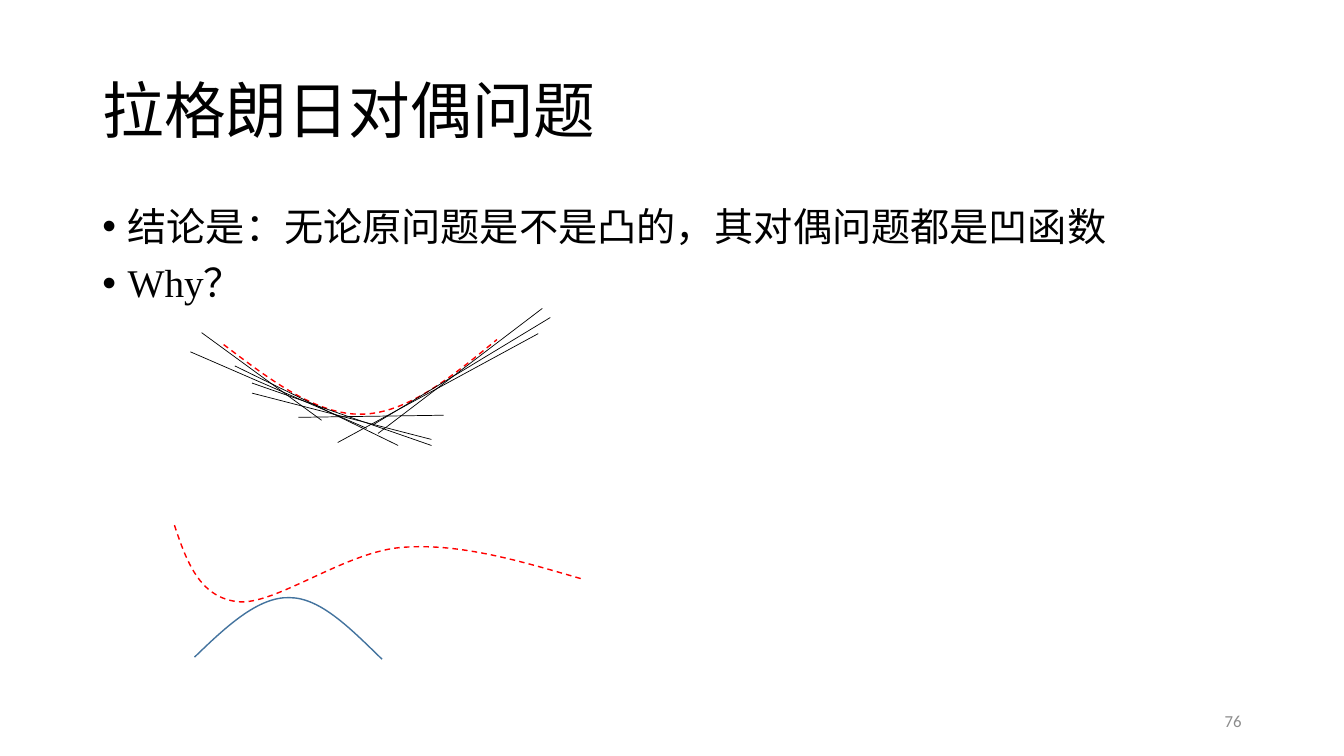
from lxml.etree import SubElement
from pptx import Presentation
from pptx.dml.color import RGBColor
from pptx.enum.dml import MSO_LINE
from pptx.enum.shapes import MSO_CONNECTOR
from pptx.enum.text import MSO_ANCHOR, MSO_AUTO_SIZE, PP_ALIGN
from pptx.oxml.ns import qn
from pptx.util import Pt

COLORS = {"text": "000000", "number": "8C8C8C", "curve": "FF0000", "lower": "43739E"}
SERIF = "Times New Roman"

# Points are relative to the top left corner of each figure.
# In a curve every third point lies on it; the two between are Bézier controls.
CONVEX_CURVE = [(23.8, 25.9), (57, 51.1), (90.1, 76.3), (122.5, 75.6),
                (155.6, 74.9), (187.3, 48.3), (219, 22.3)]
TANGENTS = [
    ((8, 17.3), (93.7, 79.9)),
    ((77.1, 77.8), (180.8, 76.3)),
    ((31.8, 41.1), (148.4, 97.9)),
    ((44, 53.3), (172.2, 97.9)),
    ((134, 89.3), (251.4, 0)),
    ((131.1, 82.8), (257.1, 6.5)),
    ((105.2, 95.8), (248.5, 18)),
    ((0, 31), (126.1, 85.7)),
    ((44, 60.5), (172.2, 93.6)),
]
PRIMAL_CURVE = [(0, 0), (8.6, 25.9), (18, 51.8), (45.4, 54.7), (72, 57.6),
                (123.1, 18), (164.2, 15.8), (205.2, 13), (247.7, 25.9), (290.2, 38.2)]
DUAL_CURVE = [(14.4, 94.3), (36.7, 72.7), (59.8, 51.1), (82.1, 51.8),
              (104.4, 51.8), (126, 74.2), (148.3, 95.8)]


def place(sp, box):
    sp.left, sp.top, sp.width, sp.height = (Pt(v) for v in box)


def add_run(p, text, size, color, font=SERIF):
    r = p.add_run()
    r.text = text
    r.font.size = Pt(size)
    r.font.name = font
    r.font.color.rgb = RGBColor.from_string(COLORS[color])


def add_title(s, box, text):
    sp = s.shapes.title
    place(sp, box)
    tf = sp.text_frame
    tf.auto_size = MSO_AUTO_SIZE.NONE
    tf.vertical_anchor = MSO_ANCHOR.MIDDLE
    p = tf.paragraphs[0]
    p.alignment = PP_ALIGN.LEFT
    p.line_spacing = 0.9
    add_run(p, text, 44, "text")


def add_bullets(s, box, items):
    sp = s.placeholders[1]
    place(sp, box)
    tf = sp.text_frame
    tf.auto_size = MSO_AUTO_SIZE.NONE
    for i, item in enumerate(items):
        p = tf.add_paragraph() if i else tf.paragraphs[0]
        pPr = p._p.get_or_add_pPr()
        pPr.set("marL", str(Pt(18)))
        pPr.set("indent", str(Pt(-18)))
        SubElement(pPr, qn("a:buFont")).set("typeface", "Arial")
        SubElement(pPr, qn("a:buChar")).set("char", "•")
        p.line_spacing = 0.9
        p.space_before = Pt(10 if i else 0)
        add_run(p, item, 28, "text")


def add_page_number(s, box, number):
    tf = s.shapes.add_textbox(*(Pt(v) for v in box)).text_frame
    tf.word_wrap = True
    tf.vertical_anchor = MSO_ANCHOR.MIDDLE
    p = tf.paragraphs[0]
    p.alignment = PP_ALIGN.RIGHT
    add_run(p, number, 12, "number", "Calibri")


def bend_segments(sp, points):
    """Turn the straight segments of a freeform into cubic Bézier spans."""
    segments = list(sp._element.iter(qn("a:lnTo")))
    for i, segment in enumerate(segments):
        span = segment.makeelement(qn("a:cubicBezTo"))
        for x, y in points[3 * i + 1:3 * i + 4]:
            pt = SubElement(span, qn("a:pt"))
            pt.set("x", str(x - sp.left))
            pt.set("y", str(y - sp.top))
        segment.getparent().replace(segment, span)


def add_curve(shapes, origin, curve, color, dashed=False):
    x, y = origin
    points = [(Pt(x + dx), Pt(y + dy)) for dx, dy in curve]
    builder = shapes.build_freeform(*points[0])
    builder.add_line_segments(points[3::3], close=False)
    sp = builder.convert_to_shape()
    bend_segments(sp, points)
    sp.shadow.inherit = False
    sp.fill.background()
    sp.line.color.rgb = RGBColor.from_string(COLORS[color])
    sp.line.width = Pt(1)
    if dashed:
        sp.line.dash_style = MSO_LINE.DASH


def add_tangent_figure(s, origin):
    x, y = origin
    add_curve(s.shapes, origin, CONVEX_CURVE, "curve", dashed=True)
    for (x1, y1), (x2, y2) in TANGENTS:
        line = s.shapes.add_connector(MSO_CONNECTOR.STRAIGHT, Pt(x + x1), Pt(y + y1),
                                      Pt(x + x2), Pt(y + y2))
        line.line.color.rgb = RGBColor.from_string(COLORS["text"])
        line.line.width = Pt(0.5)
        SubElement(line._element.spPr, qn("a:effectLst"))


def add_duality_figure(s, origin):
    group = s.shapes.add_group_shape()
    add_curve(group.shapes, origin, PRIMAL_CURVE, "curve", dashed=True)
    add_curve(group.shapes, origin, DUAL_CURVE, "lower")


def main():
    prs = Presentation()
    prs.slide_width, prs.slide_height = Pt(960), Pt(540)
    s = prs.slides.add_slide(prs.slide_layouts[1])
    add_title(s, (66, 28.8, 828, 104.4), "拉格朗日对偶问题")
    add_bullets(s, (66, 144.6, 828, 342.7),
                ["结论是：无论原问题是不是凸的，其对偶问题都是凹函数", "Why？"])
    add_page_number(s, (678, 500.5, 216, 28.8), "76")
    add_tangent_figure(s, (136, 220.3))
    add_duality_figure(s, (124.6, 375.1))
    prs.save("out.pptx")


if __name__ == "__main__":
    main()
